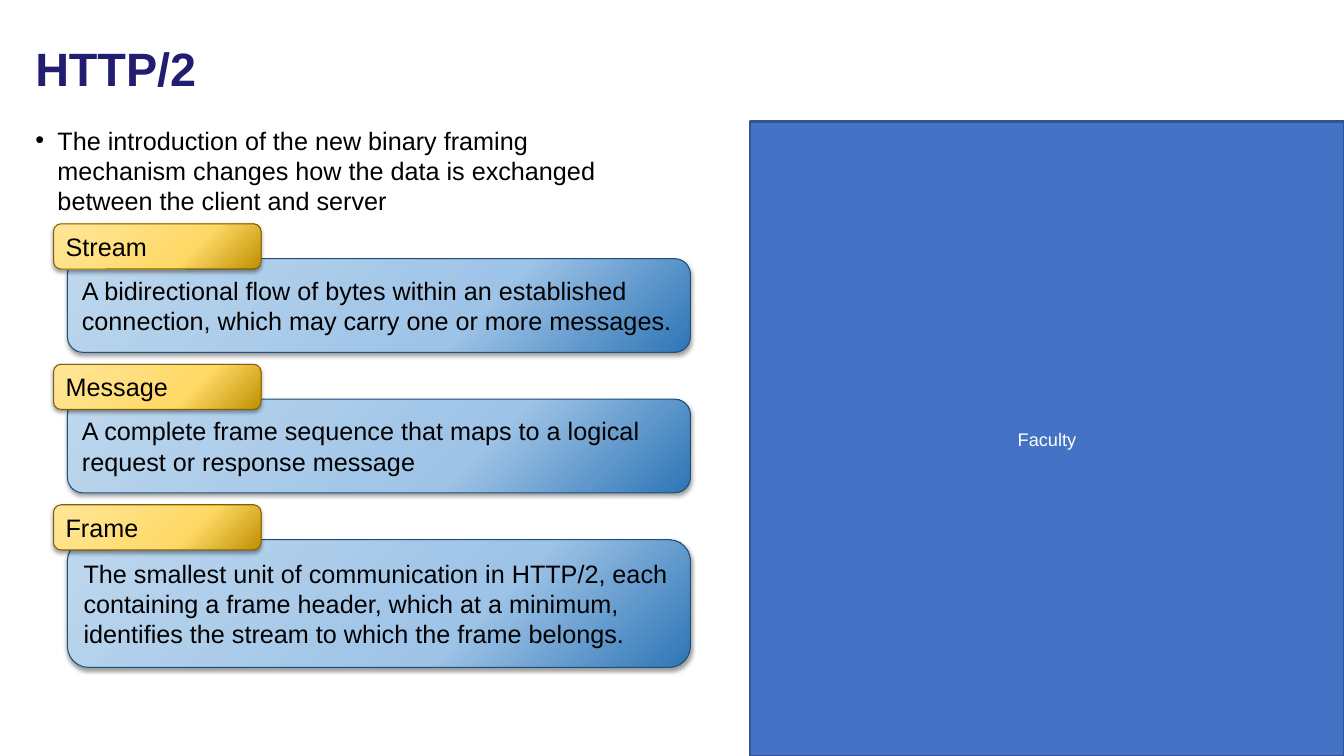
from copy import deepcopy
from dataclasses import dataclass

from lxml import etree
from pptx import Presentation
from pptx.dml.color import RGBColor
from pptx.enum.shapes import MSO_SHAPE
from pptx.enum.text import MSO_ANCHOR, PP_ALIGN
from pptx.oxml.ns import qn
from pptx.util import Cm, Pt

RECTANGLE = MSO_SHAPE.RECTANGLE
ROUNDED = MSO_SHAPE.ROUNDED_RECTANGLE
TOP, MIDDLE = MSO_ANCHOR.TOP, MSO_ANCHOR.MIDDLE
LEFT, CENTER = PP_ALIGN.LEFT, PP_ALIGN.CENTER


@dataclass(frozen=True)
class Theme:
    font: str = "Arial"
    title_size: float = 33.4
    body_size: float = 18
    panel_size: float = 13
    title: str = "211D70"
    text: str = "000000"
    light: str = "FFFFFF"
    panel: str = "4472C4"
    panel_line: str = "325491"
    blue: tuple = ("2E75B6", "9DC3E6", "BDD7EE")
    blue_line: str = "1F4E79"
    gold: tuple = ("BF9000", "FFD966", "FFE699")
    gold_line: str = "806000"
    stops: tuple = (0, 0.35, 1)


THEME = Theme()

TERMS = (
    ("Stream", "A bidirectional flow of bytes within an established connection, "
     "which may carry one or more messages.", 2.36),
    ("Message", "A complete frame sequence that maps to a logical request or "
     "response message", 2.36),
    ("Frame", "The smallest unit of communication in HTTP/2, each containing a "
     "frame header, which at a minimum, identifies the stream to which the "
     "frame belongs.", 3.22),
)


def write_text(shape, text, size=THEME.body_size, color=THEME.text, bold=False,
               align=LEFT, anchor=TOP, spacing=1.0, inset=0.13, bullet=False):
    frame = shape.text_frame
    frame.word_wrap = True
    frame.vertical_anchor = anchor
    frame.margin_left = frame.margin_right = Cm(0.25)
    frame.margin_top = frame.margin_bottom = Cm(inset)
    paragraph = frame.paragraphs[0]
    paragraph.text = text
    paragraph.alignment = align
    paragraph.line_spacing = spacing
    if bullet:
        add_bullet(paragraph, color)
    font = paragraph.runs[0].font
    font.name = THEME.font
    font.size = Pt(size)
    font.bold = bold
    font.color.rgb = RGBColor.from_string(color)


def add_bullet(paragraph, color):
    properties = paragraph._p.get_or_add_pPr()
    properties.set("marL", str(Cm(0.56)))
    properties.set("indent", str(-Cm(0.56)))
    bullet_color = etree.SubElement(properties, qn("a:buClr"))
    etree.SubElement(bullet_color, qn("a:srgbClr"), val=color)
    etree.SubElement(properties, qn("a:buFont"), typeface=THEME.font)
    etree.SubElement(properties, qn("a:buChar"), char="•")


def add_gradient(shape, colors):
    fill = shape.fill
    fill.gradient()
    fill.gradient_angle = 135
    stop_list = shape._element.spPr.find(qn("a:gradFill")).find(qn("a:gsLst"))
    stop_list.append(deepcopy(stop_list[0]))
    for stop, position, color in zip(fill.gradient_stops, THEME.stops, colors):
        stop.position = position
        stop.color.rgb = RGBColor.from_string(color)


def add_shadow(shape):
    effects = shape._element.spPr.find(qn("a:effectLst"))
    shadow = etree.SubElement(
        effects, qn("a:outerShdw"), blurRad=str(Pt(3.1)), dist=str(Pt(1.6)),
        dir="5400000", algn="t", rotWithShape="0")
    color = etree.SubElement(shadow, qn("a:srgbClr"), val=THEME.text)
    etree.SubElement(color, qn("a:alpha"), val="38000")


class SlideBuilder:
    def __init__(self, slide):
        self.slide = slide

    def text_box(self, text, left, top, width, height, **style):
        box = self.slide.shapes.add_textbox(Cm(left), Cm(top), Cm(width), Cm(height))
        write_text(box, text, **style)

    def shape(self, kind, left, top, width, height, line, line_width):
        shape = self.slide.shapes.add_shape(
            kind, Cm(left), Cm(top), Cm(width), Cm(height))
        shape.shadow.inherit = False
        shape.line.color.rgb = RGBColor.from_string(line)
        shape.line.width = Pt(line_width)
        return shape

    def panel(self, text, left, top, width, height):
        panel = self.shape(RECTANGLE, left, top, width, height, THEME.panel_line, 2)
        panel.fill.solid()
        panel.fill.fore_color.rgb = RGBColor.from_string(THEME.panel)
        write_text(panel, text, size=THEME.panel_size, color=THEME.light,
                   align=CENTER, anchor=MIDDLE)

    def card(self, text, left, top, width, height, colors, line, inset=0.13):
        card = self.shape(ROUNDED, left, top, width, height, line, 0.75)
        add_gradient(card, colors)
        add_shadow(card)
        write_text(card, text, inset=inset)

    def term(self, name, meaning, top, height):
        self.card(meaning, 1.7, top + 0.88, 15.7, height,
                  THEME.blue, THEME.blue_line, inset=0.3)
        self.card(name, 1.35, top, 5.23, 1.14, THEME.gold, THEME.gold_line)


def main():
    presentation = Presentation()
    presentation.slide_width = Cm(33.87)
    presentation.slide_height = Cm(19.05)
    builder = SlideBuilder(
        presentation.slides.add_slide(presentation.slide_layouts[6]))
    builder.panel("Faculty", 18.9, 3.07, 14.97, 15.98)
    builder.text_box("HTTP/2", 0.64, 0.64, 30, 2.31, size=THEME.title_size,
                     color=THEME.title, bold=True, anchor=MIDDLE, spacing=0.9)
    builder.text_box("The introduction of the new binary framing mechanism changes "
                     "how the data is exchanged between the client and server",
                     0.64, 3.02, 16.2, 13.18, bullet=True)
    for row, (name, meaning, height) in enumerate(TERMS):
        builder.term(name, meaning, 5.64 + row * 3.54, height)
    presentation.save("out.pptx")


if __name__ == "__main__":
    main()
